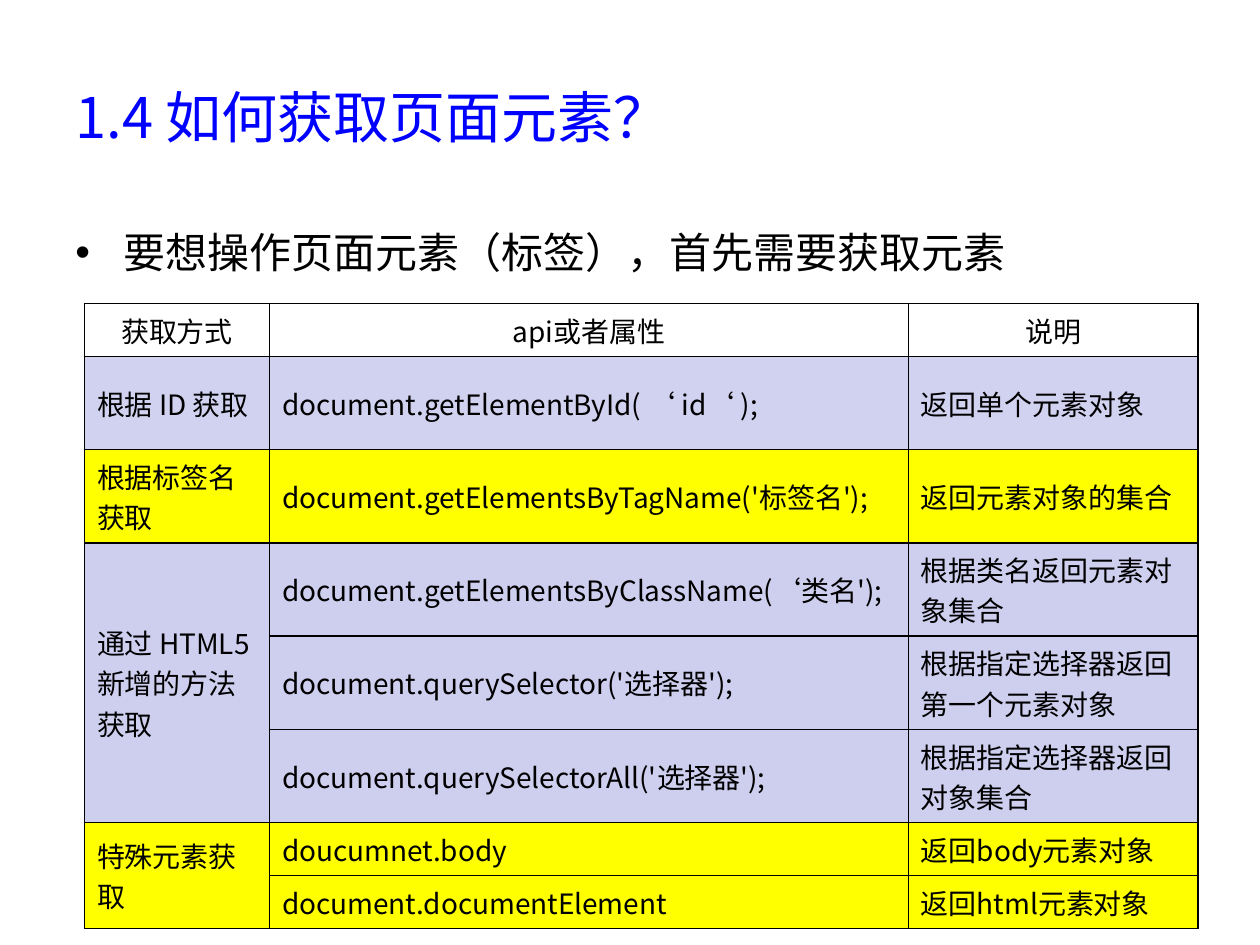
from dataclasses import dataclass

from lxml import etree
from pptx import Presentation
from pptx.dml.color import RGBColor
from pptx.enum.text import MSO_ANCHOR, PP_ALIGN
from pptx.oxml.ns import qn
from pptx.util import Inches, Pt

MIDDLE, TOP = MSO_ANCHOR.MIDDLE, MSO_ANCHOR.TOP
LEFT, CENTER = PP_ALIGN.LEFT, PP_ALIGN.CENTER
BLACK = RGBColor(0x00, 0x00, 0x00)
BLUE = RGBColor(0x00, 0x00, 0xFF)
WHITE = RGBColor(0xFF, 0xFF, 0xFF)
LAVENDER = RGBColor(0xD1, 0xD1, 0xF0)
LILAC = RGBColor(0xCE, 0xCE, 0xEF)
YELLOW = RGBColor(0xFF, 0xFF, 0x00)
SANS, MONO = "Noto Sans CJK SC", "Courier New"
SLIDE_W, SLIDE_H = 10, 7.5
MARGIN = 0.05 * SLIDE_W
COLUMN_WIDTHS = (1.47, 5.07, 2.3)
ONE_LINE, TWO_LINES = 0.42, 0.74


@dataclass
class Method:
    group: str
    api: str
    note: str
    fill: RGBColor
    height: float = TWO_LINES
    span: int = 1
    note_font: str = SANS


METHODS = [
    Method("获取方式", "api或者属性", "说明", WHITE, ONE_LINE),
    Method("根据 ID 获取", "document.getElementById( ‘ id‘ );", "返回单个元素对象", LAVENDER),
    Method("根据标签名获取", "document.getElementsByTagName('标签名');", "返回元素对象的集合", YELLOW),
    Method("通过 HTML5 新增的方法获取", "document.getElementsByClassName(‘类名');",
           "根据类名返回元素对象集合", LILAC, span=3, note_font=MONO),
    Method("", "document.querySelector('选择器');", "根据指定选择器返回第一个元素对象",
           LILAC, note_font=MONO),
    Method("", "document.querySelectorAll('选择器');", "根据指定选择器返回对象集合",
           LILAC, note_font=MONO),
    Method("特殊元素获取", "doucumnet.body", "返回body元素对象", YELLOW, ONE_LINE, span=2),
    Method("", "document.documentElement", "返回html元素对象", YELLOW, ONE_LINE),
]


def write(tf, text: str, *, size: float, color: RGBColor = BLACK,
          font: str = SANS, align=LEFT):
    p = tf.paragraphs[0]
    p.alignment = align
    r = p.add_run()
    r.text = text
    r.font.size = Pt(size)
    r.font.color.rgb = color
    r.font.name = font
    etree.SubElement(r.font._element, qn("a:ea"), typeface=SANS)
    return p


def add_text(s, text: str, top: float, height: float, *, anchor=TOP, **fmt):
    sp = s.shapes.add_textbox(Inches(MARGIN), Inches(top),
                              Inches(SLIDE_W - 2 * MARGIN), Inches(height))
    tf = sp.text_frame
    tf.word_wrap = True
    tf.vertical_anchor = anchor
    return write(tf, text, **fmt)


def add_bullet(p, indent: float) -> None:
    pPr = p._p.get_or_add_pPr()
    pPr.set("marL", str(Inches(indent)))
    pPr.set("indent", str(-Inches(indent)))
    space = etree.SubElement(pPr, qn("a:spcBef"))
    etree.SubElement(space, qn("a:spcPct"), val="20000")
    etree.SubElement(pPr, qn("a:buFont"), typeface="Arial")
    etree.SubElement(pPr, qn("a:buChar"), char="•")


def style_cell(cell, fill: RGBColor) -> None:
    cell.vertical_anchor = MIDDLE
    tcPr = cell._tc.get_or_add_tcPr()
    for side in ("a:lnL", "a:lnR", "a:lnT", "a:lnB"):
        ln = etree.SubElement(tcPr, qn(side), w=str(Pt(1)))
        solid = etree.SubElement(ln, qn("a:solidFill"))
        etree.SubElement(solid, qn("a:srgbClr"), val=str(BLACK))
    cell.fill.solid()
    cell.fill.fore_color.rgb = fill


def add_methods(s, methods: list[Method], left: float, top: float) -> None:
    table = s.shapes.add_table(
        len(methods), len(COLUMN_WIDTHS), Inches(left), Inches(top),
        Inches(sum(COLUMN_WIDTHS)), Inches(sum(m.height for m in methods))).table
    table.first_row = table.horz_banding = False
    for column, width in zip(table.columns, COLUMN_WIDTHS):
        column.width = Inches(width)
    for i, m in enumerate(methods):
        table.rows[i].height = Inches(m.height)
        fonts = (SANS, SANS, m.note_font)
        for j, (text, font) in enumerate(zip((m.group, m.api, m.note), fonts)):
            cell = table.cell(i, j)
            style_cell(cell, m.fill)
            if text:
                write(cell.text_frame, text, size=16, font=font,
                      align=LEFT if i else CENTER)
        if m.span > 1:
            table.cell(i, 0).merge(table.cell(i + m.span - 1, 0))


prs = Presentation()
prs.slide_width, prs.slide_height = Inches(SLIDE_W), Inches(SLIDE_H)
s = prs.slides.add_slide(prs.slide_layouts[6])
add_text(s, "1.4 如何获取页面元素？", 0.3, 1.25, anchor=MIDDLE, size=32, color=BLUE)
add_bullet(add_text(s, "要想操作页面元素（标签），首先需要获取元素", 1.75, 4.95, size=24), 0.38)
add_methods(s, METHODS, 0.67, 2.41)
prs.save("out.pptx")
